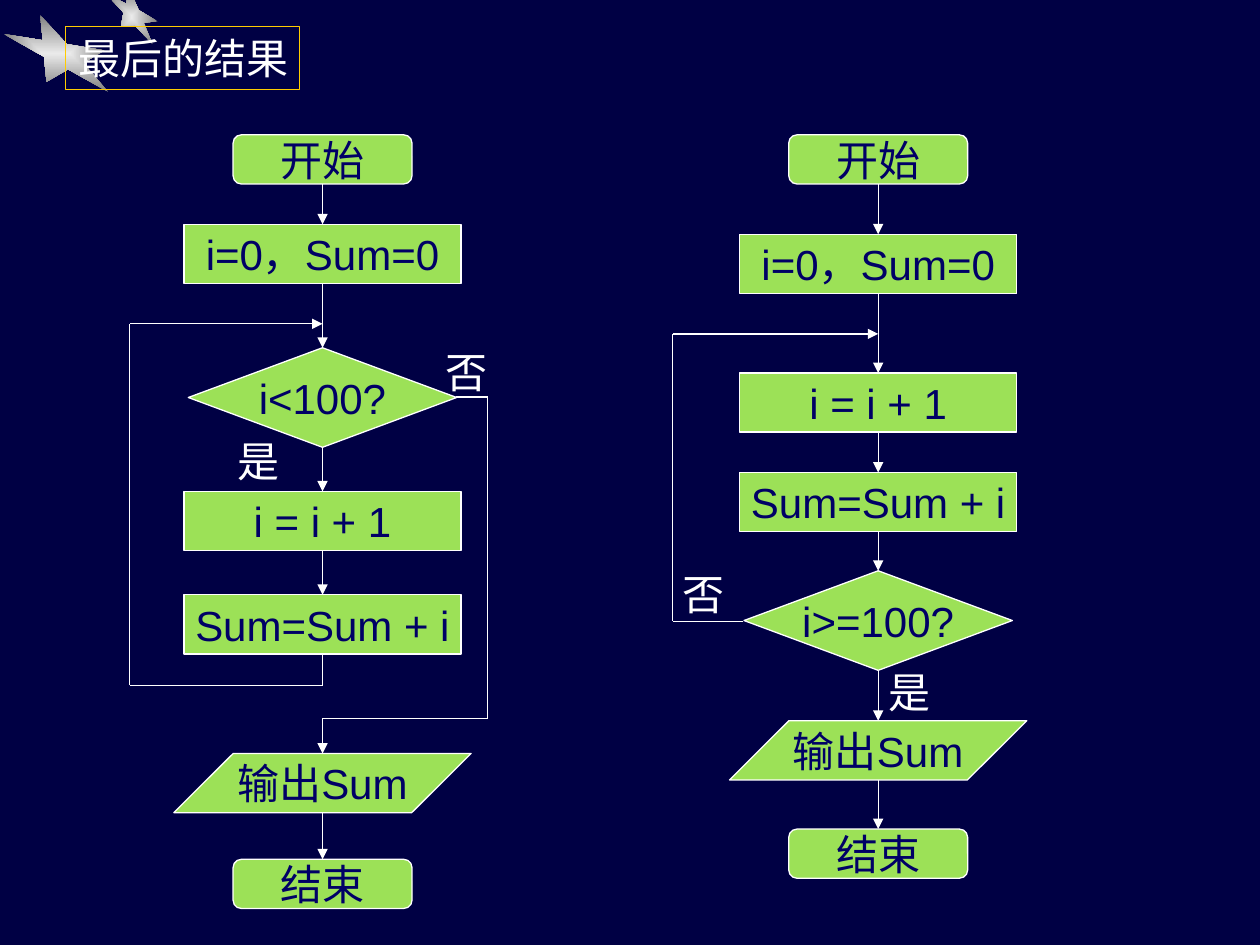
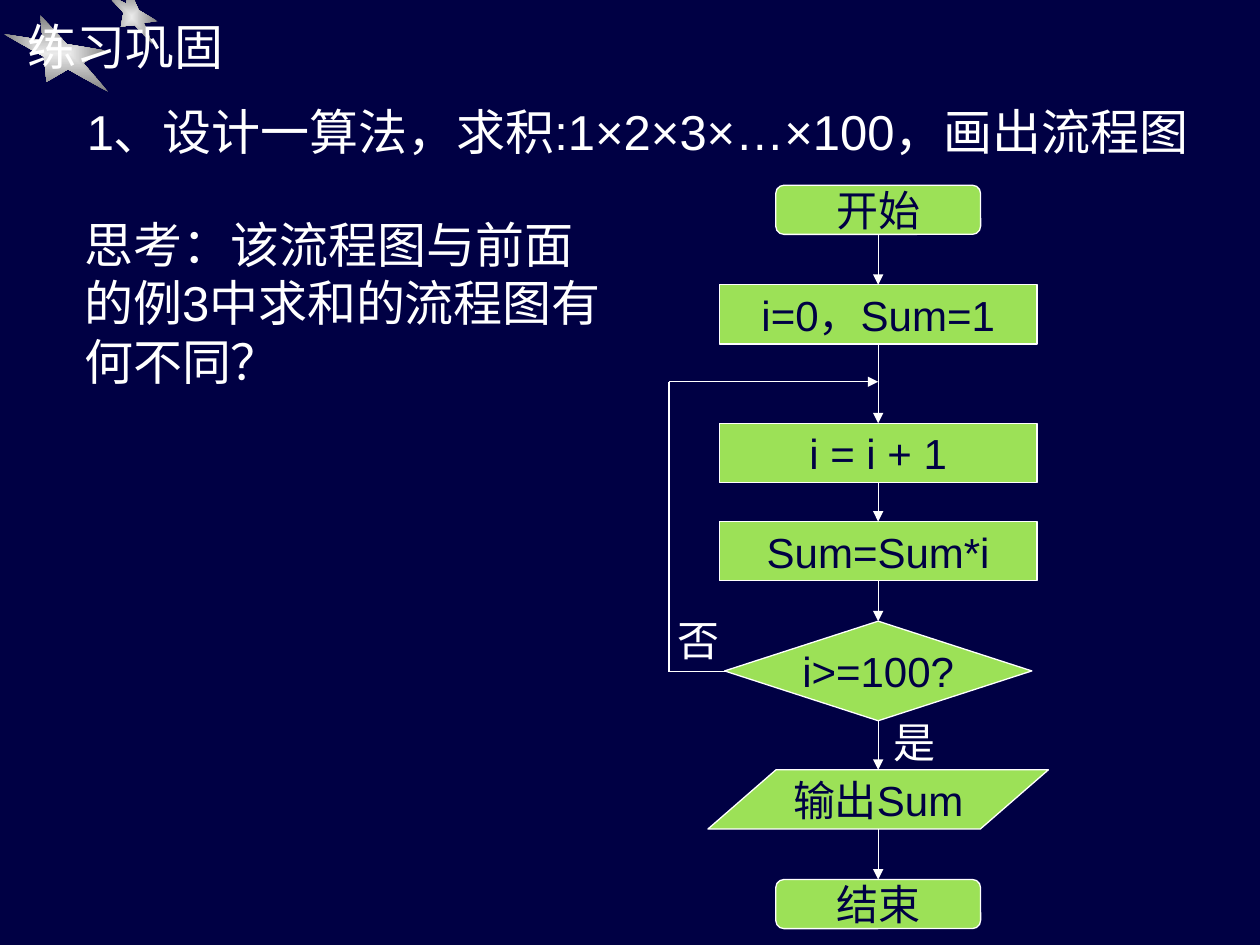
from itertools import pairwise
from lxml.etree import SubElement
from pptx import Presentation
from pptx.dml.color import RGBColor
from pptx.enum.shapes import MSO_CONNECTOR as Link, MSO_SHAPE as Form
from pptx.enum.text import MSO_ANCHOR as Anchor, MSO_AUTO_SIZE as Fit, PP_ALIGN as Align
from pptx.oxml.ns import qn
from pptx.util import Inches, Pt

rgb = RGBColor.from_string
NAVY, INK, LIME, WHITE, GOLD = "000044", "000066", "9CE157", "FFFFFF", "FFCC00"
LEFT = {"align": Align.LEFT, "anchor": Anchor.TOP, "fit": Fit.SHAPE_TO_FIT_TEXT}
HEAD = {"align": Align.LEFT, "anchor": Anchor.TOP, "fit": Fit.NONE}
MID = {"align": Align.CENTER, "anchor": Anchor.MIDDLE, "fit": Fit.NONE}


def write(shape, text, size, ink, mode, wrap=False):
    frame = shape.text_frame
    frame.text = text
    look = {"word_wrap": wrap, "auto_size": mode["fit"],
            "vertical_anchor": mode["anchor"]}
    for key, val in look.items():
        setattr(frame, key, val)
    para = frame.paragraphs[0]
    para.alignment = mode["align"]
    font = para.runs[0].font
    for key, val in {"name": "Arial", "size": Pt(size), "bold": False}.items():
        setattr(font, key, val)
    font.color.rgb = rgb(ink)


def route(slide, points):
    """Draw straight legs through the points, with an arrowhead on the last."""
    for start, end in pairwise(points):
        leg = slide.shapes.add_connector(
            Link.STRAIGHT, *[Inches(n) for n in (*start, *end)])
        leg.line.color.rgb = rgb(WHITE)
        leg.line.width = Pt(0.75)
        SubElement(leg.element.spPr, qn("a:effectLst"))
    SubElement(leg.line._get_or_add_ln(), qn("a:tailEnd"), type="triangle")


deck = Presentation()
deck.slide_width, deck.slide_height = Inches(10), Inches(7.5)

# Shared background and stars
back = deck.slide_master.background.fill
back.solid()
back.fore_color.rgb = rgb(NAVY)
plan = deck.slide_layouts[5]
result, drill = [deck.slides.add_slide(plan) for _ in range(2)]

# Star corners in hundredths of an inch
stars = [
    [(121, 35), (107, 20), (96, 21), (98, 10), (84, -5),
     (100, 3), (103, -8), (110, 8), (125, 17), (114, 18)],
    [(86, 73), (54, 55), (37, 65), (35, 45), (3, 27),
     (34, 32), (32, 12), (53, 35), (83, 40), (66, 50)],
]
for first, *rest in stars:
    pen = result.shapes.build_freeform(*first, scale=Inches(0.01))
    pen.add_line_segments(rest, close=True)
    star = pen.convert_to_shape()
    star.shadow.inherit = False
    star.line.fill.background()
    star.fill.gradient()
    for stop, tone, spot in zip(star.fill.gradient_stops, ("EAEAEA", "808080"), (0, 1)):
        stop.color.rgb = rgb(tone)
        stop.position = spot
    lin = star.element.find(".//" + qn("a:lin"))
    grad = lin.getparent()
    grad.remove(lin)
    glow = SubElement(grad, qn("a:path"), path="rect")
    SubElement(glow, qn("a:fillToRect"), dict.fromkeys("ltrb", "50000"))
    plan.shapes.element.append(star.element)

# Titles: fixed boxes, with the right inset freed so each stays on one line
heads = [
    (result, "最后的结果", 24, (0.52, 0.21, 1.86, 0.5)),
    (drill, "练习巩固", 28, (0.12, 0.08, 1.75, 0.57)),
]
for slide, text, size, area in heads:
    title = slide.shapes.title
    for key, val in zip(("left", "top", "width", "height"), area):
        setattr(title, key, Inches(val))
    write(title, text, size, WHITE, HEAD, wrap=True)
    title.text_frame.margin_right = 0
edge = result.shapes.title.line
edge.color.rgb = rgb(GOLD)
edge.width = Pt(0.75)

# Flowcharts: shape, width and height of each kind of step
kinds = {
    "end": (Form.FLOWCHART_ALTERNATE_PROCESS, 1.42, 0.39),
    "do": (Form.FLOWCHART_PROCESS, 2.2, 0.47),
    "test": (Form.FLOWCHART_DECISION, 2.13, 0.79),
    "out": (Form.FLOWCHART_DATA, 2.36, 0.47),
}
# Slide, centre, stretch, text colour, steps, detours
charts = [
    (result, 2.56, 1, INK,
     [("end", 1.07, "开始"), ("do", 1.78, "i=0，Sum=0"), ("test", 2.76, "i<100?"),
      ("do", 3.9, "i = i + 1"), ("do", 4.72, "Sum=Sum + i"),
      ("out", 5.98, "输出Sum"), ("end", 6.82, "结束")],
     [[(2.56, 5.2), (2.56, 5.44), (1.03, 5.44), (1.03, 2.57), (2.56, 2.57)],
      [(3.62, 3.15), (3.87, 3.15), (3.87, 5.7), (2.56, 5.7), (2.56, 5.98)]]),
    (result, 6.97, 1, INK,
     [("end", 1.07, "开始"), ("do", 1.86, "i=0，Sum=0"), ("do", 2.96, "i = i + 1"),
      ("do", 3.75, "Sum=Sum + i"), ("test", 4.53, "i>=100?"),
      ("out", 5.72, "输出Sum"), ("end", 6.58, "结束")],
     [[(5.9, 4.93), (5.34, 4.93), (5.34, 2.65), (6.97, 2.65)]]),
    (drill, 6.97, 1.145, NAVY,
     [("end", 1.47, "开始"), ("do", 2.26, "i=0，Sum=1"), ("do", 3.36, "i = i + 1"),
      ("do", 4.14, "Sum=Sum*i"), ("test", 4.93, "i>=100?"),
      ("out", 6.11, "输出Sum"), ("end", 6.98, "结束")],
     [[(5.75, 5.33), (5.31, 5.33), (5.31, 3.03), (6.97, 3.03)]]),
]
for slide, mid, wide, ink, steps, turns in charts:
    for kind, top, text in steps:
        form, width, height = kinds[kind]
        width *= wide
        step = slide.shapes.add_shape(
            form, *[Inches(n) for n in (mid - width / 2, top, width, height)])
        step.shadow.inherit = False
        step.fill.solid()
        step.fill.fore_color.rgb = rgb(LIME)
        step.line.color.rgb = rgb(WHITE)
        step.line.width = Pt(0.75)
        write(step, text, 24, ink, MID)
    for (kind, top, _), (goal, low, _) in pairwise(steps):
        # A loop body before the output leaves by its detour instead
        if (kind, goal) != ("do", "out"):
            route(slide, [(mid, top + kinds[kind][2]), (mid, low)])
    for points in turns:
        route(slide, points)

# Branch labels and exercise text
notes = [
    (result, "否", 24, (3.44, 2.7, 0.53, 0.5)),
    (result, "是", 24, (1.79, 3.41, 0.53, 0.5)),
    (result, "否", 24, (5.32, 4.46, 0.53, 0.5)),
    (result, "是", 24, (6.95, 5.24, 0.53, 0.5)),
    (drill, "否", 24, (5.28, 4.83, 0.53, 0.5)),
    (drill, "是", 24, (6.99, 5.64, 0.53, 0.5)),
    (drill, "1、设计一算法，求积:1×2×3×…×100，画出流程图", 28, (0.59, 0.76, 9.22, 0.57)),
    (drill, "思考：该流程图与前面的例3中求和的流程图有何不同？", 28, (0.57, 1.65, 4.43, 1.5)),
]
for slide, text, size, area in notes:
    box = slide.shapes.add_textbox(*[Inches(n) for n in area])
    write(box, text, size, WHITE, LEFT, wrap=area[3] > 1)

deck.save("out.pptx")
